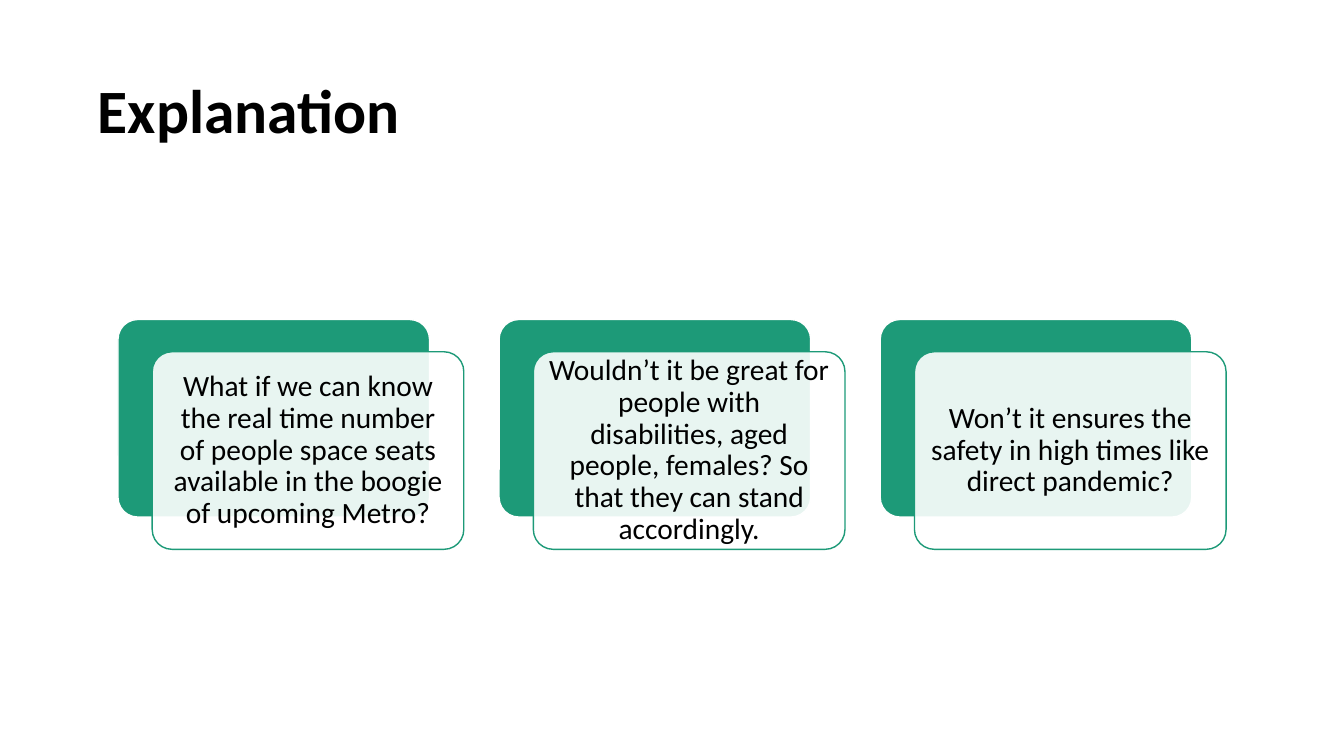
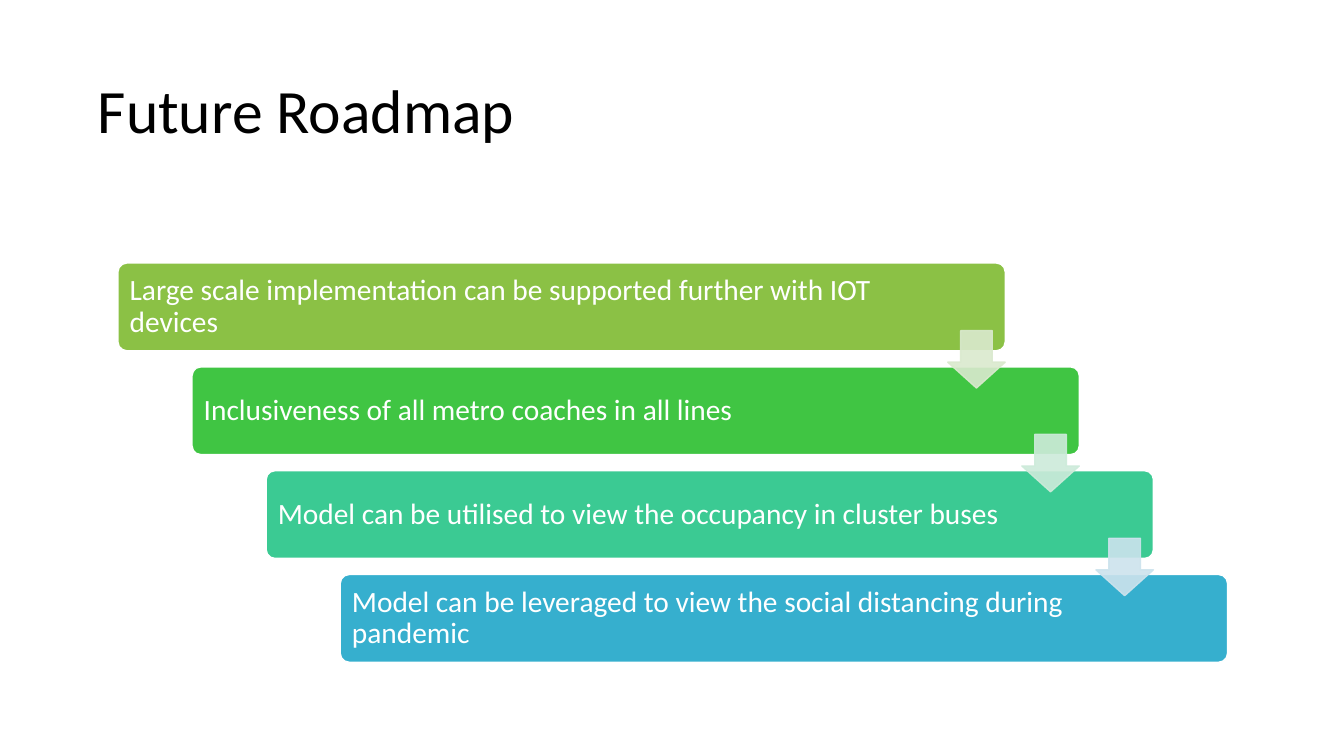
from lxml import etree
from pptx import Presentation
from pptx.dml.color import RGBColor
from pptx.enum.shapes import MSO_SHAPE
from pptx.enum.text import MSO_ANCHOR, PP_ALIGN
from pptx.oxml.ns import qn
from pptx.util import Inches, Pt

ROUNDED, DOWN = MSO_SHAPE.ROUNDED_RECTANGLE, MSO_SHAPE.DOWN_ARROW
LEFT, CENTER = PP_ALIGN.LEFT, PP_ALIGN.CENTER
MIDDLE = MSO_ANCHOR.MIDDLE

# Content
QUESTIONS = [
    "What if we can know the real time number of people space seats "
    "available in the boogie of upcoming Metro?",
    "Wouldn’t it be great for people with disabilities, aged people, females? "
    "So that they can stand accordingly.",
    "Won’t it ensures the safety in high times like direct pandemic?",
]
STEPS = [  # text, bar colour, colour of the arrow to the next step
    ("Large scale implementation can be supported further with IOT devices",
     "lime", "pale_lime"),
    ("Inclusiveness of all metro coaches in all lines", "green", "pale_green"),
    ("Model can be utilised to view the occupancy in cluster buses",
     "mint", "pale_mint"),
    ("Model can be leveraged to view the social distancing during pandemic",
     "blue", None),
]

# Shared style
COLORS = {
    "black": "000000", "white": "FFFFFF", "teal": "1D9A78",
    "lime": "8BC145", "green": "40C543", "mint": "3BCA93", "blue": "36AFCE",
    "pale_lime": "DAE9CE", "pale_green": "CDEBDA", "pale_mint": "CCE3ED",
}
FONT, TITLE_SIZE, BODY_SIZE = "Calibri", 44, 21
CONTENT_LEFT = 1.17

# Cards: a teal panel with a translucent card shifted over it
CARD_W, CARD_H, CARD_TOP, CARD_PITCH = 3.09, 1.96, 3.17, 3.78
CARD_DX, CARD_DY = 0.34, 0.32

# Staircase of bars, with an arrow on each step
BAR_W, BAR_H, BAR_TOP = 8.8, 0.87, 2.61
STEP_X, STEP_Y = 0.735, 1.03
ARROW = 0.57
ARROW_RISE = 0.2  # how far an arrow starts above the foot of its bar


def rgb(name):
    return RGBColor.from_string(COLORS[name])


def set_alpha(fill, percent):
    color = fill._xPr.find(qn("a:solidFill"))[0]
    etree.SubElement(color, qn("a:alpha")).set("val", str(percent * 1000))


def write(box, text, size, color, align=LEFT, bold=False, margin=0.09, right=None):
    frame = box.text_frame
    frame.word_wrap = True
    frame.vertical_anchor = MIDDLE
    frame.margin_left = frame.margin_top = frame.margin_bottom = Inches(margin)
    frame.margin_right = Inches(margin if right is None else right)
    paragraph = frame.paragraphs[0]
    paragraph.text = text
    paragraph.alignment = align
    paragraph.line_spacing = 0.9
    font = paragraph.font
    font.name, font.size, font.bold = FONT, Pt(size), bold
    font.color.rgb = rgb(color)


def add_block(slide, kind, box, adjustments, fill, line):
    block = slide.shapes.add_shape(kind, *map(Inches, box))
    block.shadow.inherit = False
    for index, value in enumerate(adjustments):
        block.adjustments[index] = value
    block.fill.solid()
    block.fill.fore_color.rgb = rgb(fill)
    block.line.color.rgb = rgb(line)
    block.line.width = Pt(1)
    return block


def add_titled_slide(deck, title, bold=False):
    slide = deck.slides.add_slide(deck.slide_layouts[6])
    heading = slide.shapes.add_textbox(*map(Inches, (0.92, 0.4, 11.5, 1.45)))
    write(heading, title, TITLE_SIZE, "black", bold=bold, margin=0.05)
    return slide


def build_explanation(deck):
    slide = add_titled_slide(deck, "Explanation", bold=True)
    for column, question in enumerate(QUESTIONS):
        x = CONTENT_LEFT + column * CARD_PITCH
        add_block(slide, ROUNDED, (x, CARD_TOP, CARD_W, CARD_H), [0.1],
                  "teal", "white")
        card = add_block(slide, ROUNDED,
                         (x + CARD_DX, CARD_TOP + CARD_DY, CARD_W, CARD_H),
                         [0.1], "white", "teal")
        set_alpha(card.fill, 90)
        write(card, question, BODY_SIZE, "black", CENTER)


def build_roadmap(deck):
    slide = add_titled_slide(deck, "Future Roadmap")
    corners = [(CONTENT_LEFT + row * STEP_X, BAR_TOP + row * STEP_Y)
               for row in range(len(STEPS))]
    for (x, y), (text, color, _) in zip(corners, STEPS):
        bar = add_block(slide, ROUNDED, (x, y, BAR_W, BAR_H), [0.1],
                        color, "white")
        write(bar, text, BODY_SIZE, "white", right=1.05)
    # Arrows lie above all the bars
    for (x, y), (_, _, color) in zip(corners, STEPS):
        if color:
            arrow = add_block(
                slide, DOWN,
                (x + BAR_W - ARROW, y + BAR_H - ARROW_RISE, ARROW, ARROW),
                [0.55, 0.45], color, color)
            set_alpha(arrow.fill, 90)
            set_alpha(arrow.line.fill, 90)


def main():
    deck = Presentation()
    deck.slide_width, deck.slide_height = Inches(13.33), Inches(7.5)
    build_explanation(deck)
    build_roadmap(deck)
    deck.save("out.pptx")


if __name__ == "__main__":
    main()
